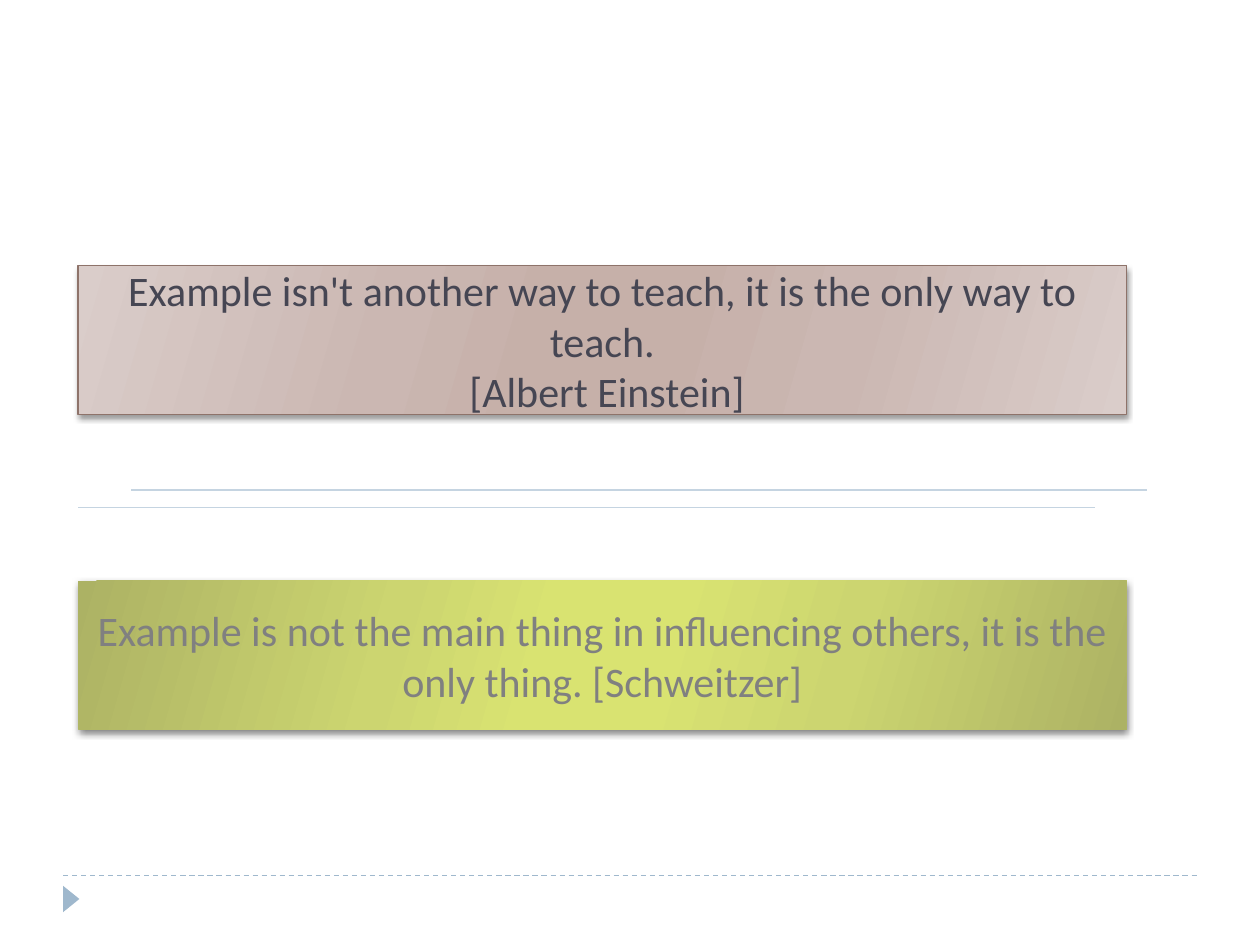
"""Build a slide with two framed quotations on teaching by example."""
import lxml.etree
import pptx
import pptx.dml.color
import pptx.enum.dml
import pptx.enum.shapes
import pptx.enum.text
import pptx.oxml.ns
import pptx.util

Inches = pptx.util.Inches
Pt = pptx.util.Pt
qn = pptx.oxml.ns.qn

THEME = {
    "font": "Calibri",
    "quote_size": 24,
    "line_width": 0.75,
    "accent": "9FB8CD",
    "divider": "C5D4E1",
    "stops": (0, 30, 45, 55, 73, 100),
    "angle": 16,
}
QUOTES = [
    {
        "paragraphs": ["Example isn't another way to teach, it is the only way to teach.",
                       " [Albert Einstein]"],
        "top": 2.11, "text": "464653", "border": "8E736A",
        "shades": ("DACDCA", "CBB7B2", "C6B0A9"),
        "shadow": {"alpha": 40, "blur": 3, "distance": 2},
    },
    {
        "paragraphs": ["Example is not the main thing in influencing others, "
                       "it is the only thing. [Schweitzer]"],
        "top": 4.61, "text": "808080", "border": None,
        "shades": ("ACB264", "CCD570", "D9E371"),
        "shadow": {"alpha": 50, "blur": 4, "distance": 2},
    },
]
QUOTE_LEFT, QUOTE_WIDTH, QUOTE_HEIGHT = 0.62, 8.32, 1.18
DIVIDERS = [(1.04, 9.1, 3.89), (0.62, 8.69, 4.03)]
FOOTER_RULE = (0.5, 9.5, 6.95)


def rgb(value):
    """Return a colour from its hex value."""
    return pptx.dml.color.RGBColor.from_string(value)


def add_rule(slide, span, colour, dash=None):
    """Draw a horizontal rule over a (start, end, height) span."""
    start, end, y = span
    rule = slide.shapes.add_connector(
        pptx.enum.shapes.MSO_CONNECTOR.STRAIGHT,
        Inches(start), Inches(y), Inches(end), Inches(y))
    rule.line.color.rgb = rgb(colour)
    rule.line.width = Pt(THEME["line_width"])
    if dash:
        rule.line.dash_style = dash
    lxml.etree.SubElement(rule._element.spPr, qn("a:effectLst"))


def fill_gradient(panel, shades):
    """Fill a panel with shades mirrored about its middle."""
    panel.fill.gradient()
    panel.fill.gradient_angle = 360 - THEME["angle"]
    stops = panel._element.spPr.find(".//" + qn("a:gsLst"))
    for stop in list(stops):
        stops.remove(stop)
    for position, shade in zip(THEME["stops"], shades + shades[::-1]):
        stop = lxml.etree.SubElement(stops, qn("a:gs"), pos=str(position * 1000))
        lxml.etree.SubElement(stop, qn("a:srgbClr"), val=shade)


def add_shadow(panel, alpha, blur, distance):
    """Cast a soft black shadow straight down."""
    panel.shadow.inherit = False
    effects = panel._element.spPr.find(qn("a:effectLst"))
    shadow = lxml.etree.SubElement(
        effects, qn("a:outerShdw"), blurRad=str(Pt(blur)), dist=str(Pt(distance)),
        dir=str(90 * 60000), rotWithShape="0")
    black = lxml.etree.SubElement(shadow, qn("a:srgbClr"), val="000000")
    lxml.etree.SubElement(black, qn("a:alpha"), val=str(alpha * 1000))


def add_quote(slide, quote):
    """Draw one quotation in its shaded panel."""
    panel = slide.shapes.add_shape(
        pptx.enum.shapes.MSO_SHAPE.RECTANGLE, Inches(QUOTE_LEFT), Inches(quote["top"]),
        Inches(QUOTE_WIDTH), Inches(QUOTE_HEIGHT))
    fill_gradient(panel, quote["shades"])
    if quote["border"]:
        panel.line.color.rgb = rgb(quote["border"])
        panel.line.width = Pt(THEME["line_width"])
    else:
        panel.line.fill.background()
    add_shadow(panel, **quote["shadow"])
    frame = panel.text_frame
    frame.word_wrap = True
    frame.vertical_anchor = pptx.enum.text.MSO_ANCHOR.MIDDLE
    for index, words in enumerate(quote["paragraphs"]):
        paragraph = frame.add_paragraph() if index else frame.paragraphs[0]
        paragraph.alignment = pptx.enum.text.PP_ALIGN.CENTER
        run = paragraph.add_run()
        run.text = words
        run.font.name = THEME["font"]
        run.font.size = Pt(THEME["quote_size"])
        run.font.color.rgb = rgb(quote["text"])


def add_footer(slide):
    """Draw the dashed footer rule and its pointer."""
    add_rule(slide, FOOTER_RULE, THEME["accent"], pptx.enum.dml.MSO_LINE.DASH)
    pointer = slide.shapes.add_shape(
        pptx.enum.shapes.MSO_SHAPE.ISOSCELES_TRIANGLE,
        Inches(0.46), Inches(7.07), Inches(0.21), Inches(0.13))
    pointer.rotation = 90
    pointer.fill.solid()
    pointer.fill.fore_color.rgb = rgb(THEME["accent"])
    pointer.line.fill.background()
    pointer.shadow.inherit = False


def main():
    """Assemble and save the presentation."""
    deck = pptx.Presentation()
    deck.slide_width, deck.slide_height = Inches(10), Inches(7.5)
    slide = deck.slides.add_slide(deck.slide_layouts[6])
    add_footer(slide)
    for span in DIVIDERS:
        add_rule(slide, span, THEME["divider"])
    for quote in QUOTES:
        add_quote(slide, quote)
    deck.save("out.pptx")


if __name__ == "__main__":
    main()
